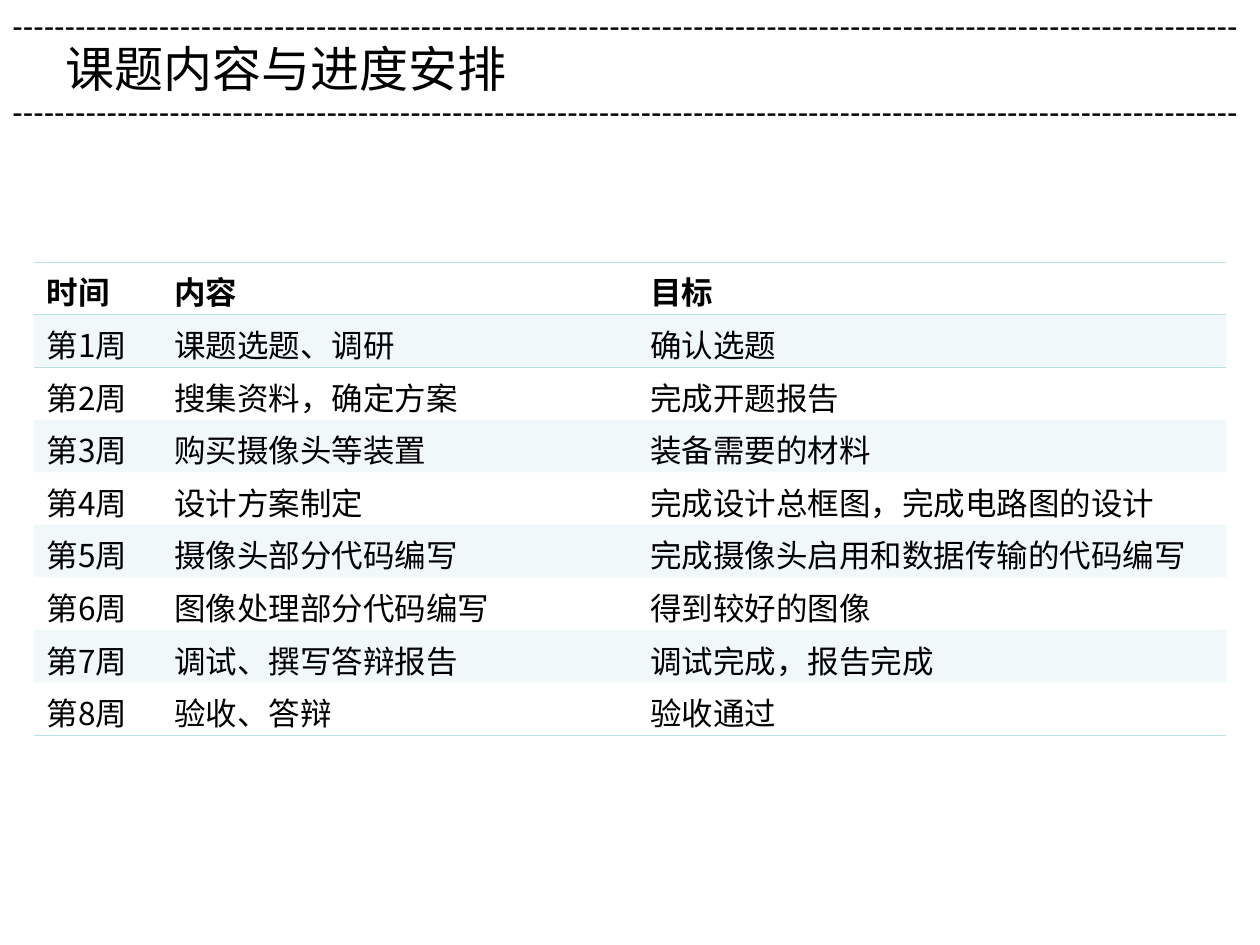
from lxml import etree
from pptx import Presentation
from pptx import util as u
from pptx.dml import color
from pptx.enum import text
from pptx.oxml import ns

LATIN_FONT = "Arial"
CHINESE_FONT = "Noto Sans CJK SC"
BLACK = "000000"
PALE_TEAL = "BBE0E3"
PLAIN_TABLE_STYLE = "{2D5ABB26-0587-4C30-8999-92F81FD0307C}"
COLUMN_WIDTHS = (2.57, 9.6, 11.86)
ROW_HEIGHT = 1.06
HEADINGS = ("时间", "内容", "目标")
WEEKS = (
    ("课题选题、调研", "确认选题"),
    ("搜集资料，确定方案", "完成开题报告"),
    ("购买摄像头等装置", "装备需要的材料"),
    ("设计方案制定", "完成设计总框图，完成电路图的设计"),
    ("摄像头部分代码编写", "完成摄像头启用和数据传输的代码编写"),
    ("图像处理部分代码编写", "得到较好的图像"),
    ("调试、撰写答辩报告", "调试完成，报告完成"),
    ("验收、答辩", "验收通过"),
)


def rgb(value):
    return color.RGBColor.from_string(value)


def add_run(paragraph, content, size, font_name=LATIN_FONT, bold=False):
    run = paragraph.add_run()
    run.text = content
    run.font.size = u.Pt(size)
    run.font.name = font_name
    run.font.bold = bold
    run.font.color.rgb = rgb(BLACK)
    east_asian = etree.SubElement(run.font._element, ns.qn("a:ea"))
    east_asian.set("typeface", CHINESE_FONT)


def fill_frame(shape, content, size):
    frame = shape.text_frame
    frame.word_wrap = True
    frame.auto_size = text.MSO_AUTO_SIZE.SHAPE_TO_FIT_TEXT
    frame.vertical_anchor = text.MSO_ANCHOR.TOP
    paragraph = frame.paragraphs[0]
    paragraph.alignment = text.PP_ALIGN.LEFT
    add_run(paragraph, content, size)


def add_title(slide, content):
    title = slide.shapes.title
    title.left, title.top = u.Cm(1.07), u.Cm(0.64)
    title.width, title.height = u.Cm(19.89), u.Cm(1.45)
    fill_frame(title, content, 28)


def add_dashed_rule(slide, top):
    box = slide.shapes.add_textbox(0, u.Cm(top), u.Cm(25.4), u.Cm(1.02))
    fill_frame(box, "-" * 117, 18)


def add_border(cell, side):
    properties = cell._tc.get_or_add_tcPr()
    line = etree.Element(ns.qn(f"a:{side}"), w=str(u.Pt(0.45)))
    fill = etree.SubElement(line, ns.qn("a:solidFill"))
    etree.SubElement(fill, ns.qn("a:srgbClr"), val=PALE_TEAL)
    properties.insert(0, line)


def shade(cell):
    cell.fill.solid()
    cell.fill.fore_color.rgb = rgb(PALE_TEAL)
    tint = cell._tc.tcPr.find(".//" + ns.qn("a:srgbClr"))
    etree.SubElement(tint, ns.qn("a:alpha"), val="20000")


def format_cell(cell, content, row, last_row):
    cell.margin_left = cell.margin_right = u.Cm(0.25)
    cell.margin_top, cell.margin_bottom = u.Cm(0.13), 0
    header = row == 0
    font_name = LATIN_FONT if header else CHINESE_FONT
    add_run(cell.text_frame.paragraphs[0], content, 18, font_name, header)
    if row % 2:
        shade(cell)
    else:
        cell.fill.background()
    if row in (0, last_row):
        add_border(cell, "lnB")
    if row in (0, 1):
        add_border(cell, "lnT")


def add_schedule(slide):
    rows = [HEADINGS]
    rows += [(f"第{number}周", *week) for number, week in enumerate(WEEKS, 1)]
    frame = slide.shapes.add_table(
        len(rows), len(HEADINGS), u.Cm(0.69), u.Cm(5.28),
        u.Cm(sum(COLUMN_WIDTHS)), u.Cm(ROW_HEIGHT * len(rows)))
    table = frame.table
    table.horz_banding = False
    table._tbl.tblPr.find(ns.qn("a:tableStyleId")).text = PLAIN_TABLE_STYLE
    for column, width in zip(table.columns, COLUMN_WIDTHS):
        column.width = u.Cm(width)
    for row, contents in enumerate(rows):
        table.rows[row].height = u.Cm(ROW_HEIGHT)
        for column, content in enumerate(contents):
            format_cell(table.cell(row, column), content, row, len(rows) - 1)


def main():
    presentation = Presentation()
    presentation.slide_width = u.Cm(25.4)
    presentation.slide_height = u.Cm(19.05)
    slide = presentation.slides.add_slide(presentation.slide_layouts[5])
    add_title(slide, "课题内容与进度安排")
    for top in (0, 1.73):
        add_dashed_rule(slide, top)
    add_schedule(slide)
    presentation.save("out.pptx")


if __name__ == "__main__":
    main()
